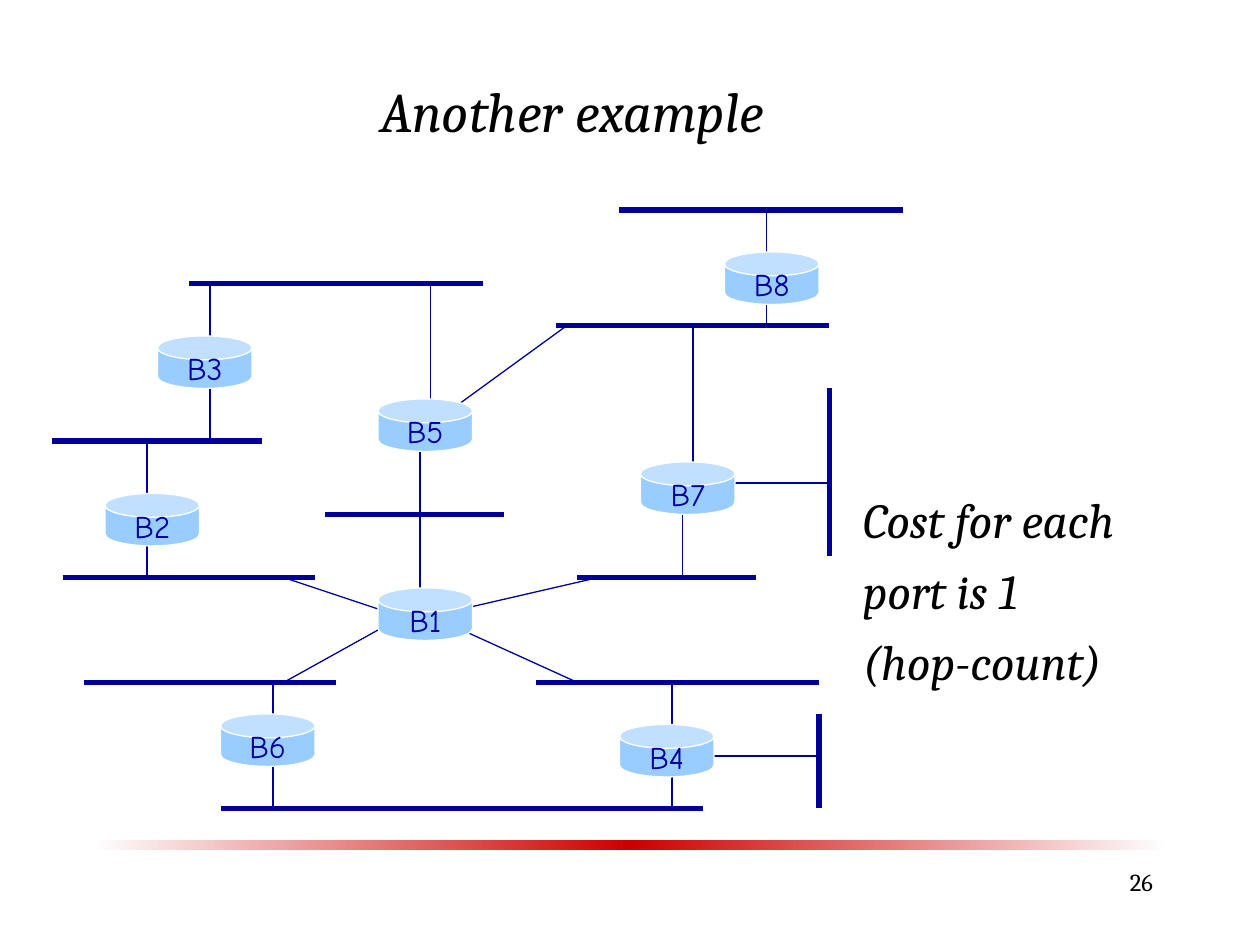
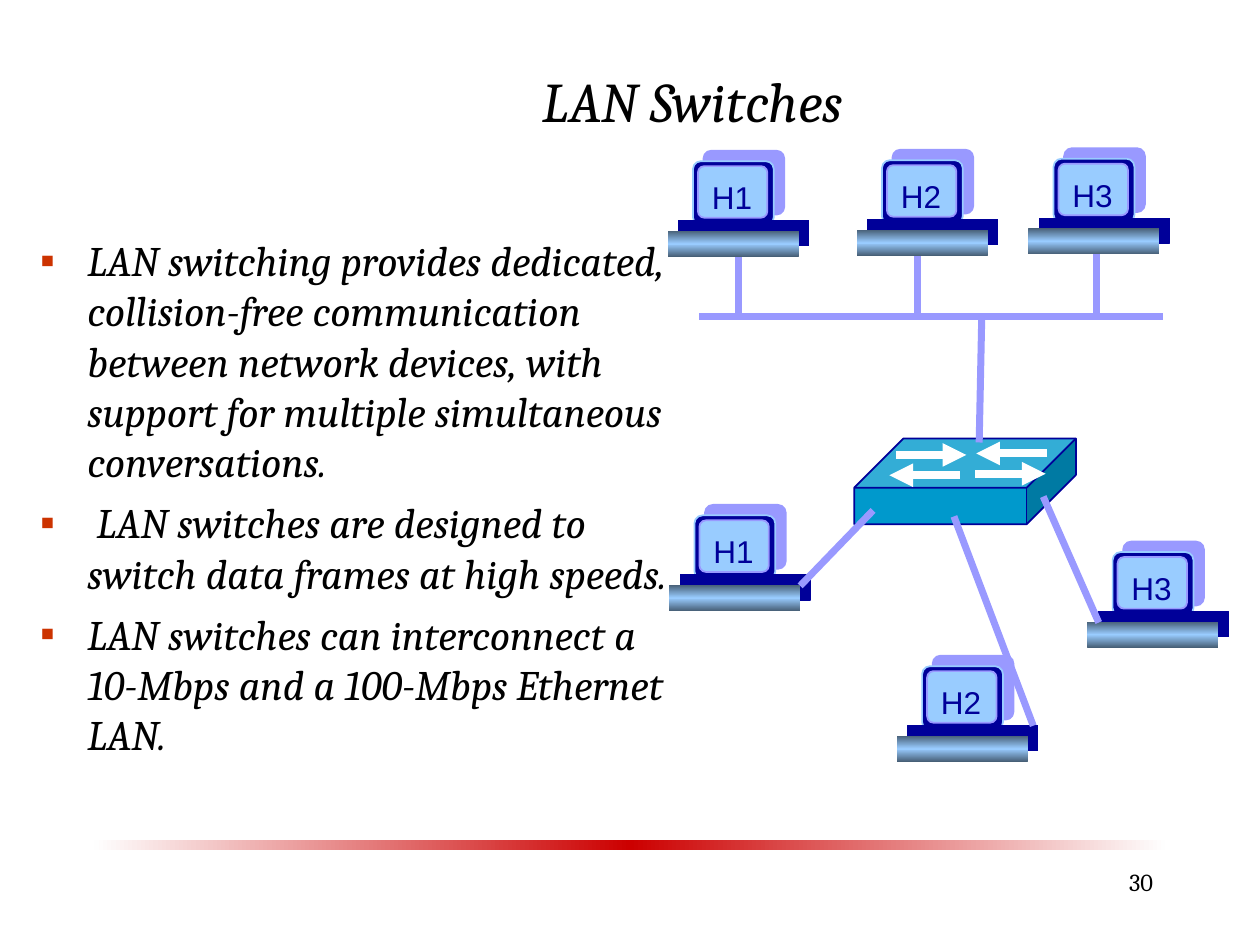
import copy

import pptx
import pptx.dml.color
import pptx.enum.shapes
import pptx.enum.text
import pptx.oxml
import pptx.oxml.ns
import pptx.util

Cm, Pt = pptx.util.Cm, pptx.util.Pt
SHAPE = pptx.enum.shapes.MSO_SHAPE
ALIGN = pptx.enum.text.PP_ALIGN
ANCHOR = pptx.enum.text.MSO_ANCHOR
qn = pptx.oxml.ns.qn

COLORS = {
    "text": "000000",
    "navy": "000099",
    "sky": "99CCFF",
    "steel": "465E75",
    "lilac": "9999FF",
    "teal": "0099CC",
    "white": "FFFFFF",
    "band": "CC0000",
    "band_edge": "FEFEFE",
    "bullet": "CC3300",
}
GRID_CM = 2.54 / 12

# Positions on the grid
SEGMENTS = [
    (18, 27, 46, 27), (53, 31, 79, 31), (79, 37, 79, 53), (51, 65, 78, 65),
    (78, 68, 78, 77), (21, 77, 67, 77), (8, 65, 32, 65), (5, 42, 25, 42),
    (6, 55, 30, 55), (31, 49, 48, 49), (55, 55, 72, 55), (59, 20, 86, 20),
]
PORT_LINKS = [
    (20, 35, 20, 42), (14, 55, 14, 50), (14, 47, 14, 42), (20, 32, 20, 27),
    (41, 38, 41, 27), (43, 39, 54, 31), (40, 43, 40, 49), (66, 31, 66, 44),
    (40, 49, 40, 56), (27, 55, 36, 58), (27, 65, 36, 60), (26, 73, 26, 77),
    (26, 68, 26, 65), (64, 69, 64, 65), (64, 74, 64, 77), (67, 72, 78, 72),
    (65, 49, 65, 55), (44, 58, 57, 55), (70, 46, 79, 46), (44, 60, 55, 65),
    (73, 20, 73, 24), (73, 29, 73, 31),
]
BRIDGES = {
    "B3": (15, 32), "B5": (36, 38), "B7": (61, 44), "B2": (10, 47),
    "B1": (36, 56), "B6": (21, 68), "B4": (59, 69), "B8": (69, 24),
}

# Positions in centimetres
BUS_LINES = [
    (14.1, 6.38, 23.44, 6.38), (14.88, 5.16, 14.88, 6.32),
    (18.49, 5.16, 18.49, 6.35), (22.1, 5.13, 22.1, 6.32),
]
HOSTS = [
    ("H1", 13.46, 3.25), ("H2", 17.27, 3.23), ("H3", 20.73, 3.2),
    ("H1", 13.49, 10.39), ("H2", 18.08, 13.43), ("H3", 21.92, 11.13),
]
SWITCH_LINKS = [
    (19.23, 10.41, 20.83, 14.63), (17.6, 10.29, 16.13, 11.81),
    (19.79, 6.43, 19.74, 8.92), (21.03, 10.01, 22.15, 12.55),
]
SWITCH_ARROWS = [
    (2.13, 0.74, 0.71, 0.74), (3.89, 0.3, 2.46, 0.3),
    (0.84, 0.33, 2.26, 0.33), (2.44, 0.71, 3.86, 0.71),
]
SWITCHING_POINTS = [
    "LAN switching provides dedicated, collision-free communication between "
    "network devices, with support for multiple simultaneous conversations.",
    " LAN switches are designed to switch data frames at high speeds.",
    "LAN switches can interconnect a 10-Mbps and a 100-Mbps Ethernet LAN.",
]


def grid(*steps):
    return [Cm(step * GRID_CM) for step in steps]


def centimetres(*values):
    return [Cm(value) for value in values]


def rgb(name):
    return pptx.dml.color.RGBColor.from_string(COLORS[name])


def add_xml(parent, tag, **attributes):
    child = parent.makeelement(qn(tag), attributes)
    parent.append(child)
    return child


def write(frame, lines, size, font="Cambria", color="text", italic=False,
          align=ALIGN.LEFT, space_before=0):
    frame.text = "\n".join(lines)
    for paragraph in frame.paragraphs:
        paragraph.alignment = align
        paragraph.space_before = Pt(space_before)
        paragraph.font.name = font
        paragraph.font.size = Pt(size)
        paragraph.font.italic = italic
        paragraph.font.color.rgb = rgb(color)


def add_text(parent, box, lines, size, wrap=True, anchor=ANCHOR.TOP, **style):
    frame = parent.shapes.add_textbox(*box).text_frame
    frame.word_wrap = wrap
    frame.vertical_anchor = anchor
    write(frame, lines, size, **style)
    return frame


def add_shape(parent, kind, box, fill=None, line=None, width=1, adjustment=None):
    shape = parent.shapes.add_shape(kind, *box)
    shape.shadow.inherit = False
    if adjustment is not None:
        shape.adjustments[0] = adjustment
    if fill:
        shape.fill.solid()
        shape.fill.fore_color.rgb = rgb(fill)
    if line:
        shape.line.color.rgb = rgb(line)
        shape.line.width = Pt(width)
    else:
        shape.line.fill.background()
    return shape


def add_line(parent, ends, color, width, arrow=False):
    line = parent.shapes.add_connector(pptx.enum.shapes.MSO_CONNECTOR.STRAIGHT, *ends)
    line.line.color.rgb = rgb(color)
    line.line.width = Pt(width)
    properties = line._element.spPr
    if arrow:
        add_xml(properties.find(qn("a:ln")), "a:tailEnd", type="triangle")
    add_xml(properties, "a:effectLst")


def fill_mirrored(shape, edge, middle, angle):
    """Gradient from edge through middle and back to edge."""
    shape.fill.gradient()
    shape.fill.gradient_angle = angle
    first, second = shape.fill.gradient_stops
    first.color.rgb = rgb(edge)
    second.color.rgb = rgb(middle)
    second.position = 0.5
    stops = shape._element.spPr.find(qn("a:gradFill")).find(qn("a:gsLst"))
    last = copy.deepcopy(stops[0])
    last.set("pos", "100000")
    stops.append(last)


def cast_shadow(shape, color):
    """Hard shadow towards the upper right."""
    effects = shape._element.spPr.find(qn("a:effectLst"))
    shadow = add_xml(effects, "a:outerShdw", dist=str(Pt(8.5)), dir="18900000",
                     algn="ctr", rotWithShape="0")
    add_xml(shadow, "a:srgbClr", val=COLORS[color])


def add_bullets(frame):
    for paragraph in frame.paragraphs:
        properties = paragraph._p.get_or_add_pPr()
        properties.set("marL", str(Cm(0.95)))
        properties.set("indent", str(-Cm(0.95)))
        color = add_xml(properties, "a:buClr")
        add_xml(color, "a:srgbClr", val=COLORS["bullet"])
        add_xml(properties, "a:buFont", typeface="Arial")
        add_xml(properties, "a:buChar", char="▪")


def add_base_slide(presentation, title, title_box, number):
    slide = presentation.slides.add_slide(presentation.slide_layouts[6])
    band = add_shape(slide, SHAPE.RECTANGLE, grid(9, 80, 102, 1))
    fill_mirrored(band, "band_edge", "band", 0)
    add_text(slide, title_box, [title], 32, anchor=ANCHOR.MIDDLE, italic=True,
             align=ALIGN.CENTER)
    add_text(slide, grid(86, 82, 25, 6), [str(number)], 14, align=ALIGN.RIGHT)
    return slide


def add_bridge(slide, name, column, row):
    bridge = add_shape(slide, SHAPE.CAN, grid(column, row, 9, 5), "sky", "white",
                       0.75, 0.455)
    bridge.text_frame.word_wrap = False
    bridge.text_frame.vertical_anchor = ANCHOR.MIDDLE
    write(bridge.text_frame, [name], 18, "Comic Neue", "navy", align=ALIGN.CENTER)


def add_host(slide, name, left, top):
    host = slide.shapes.add_group_shape()

    def box(x, y, width, height):
        return centimetres(left + x, top + y, width, height)

    screen = add_shape(host, SHAPE.ROUNDED_RECTANGLE, box(0.51, 0, 1.63, 1.29),
                       "navy", "sky", adjustment=0.125)
    cast_shadow(screen, "lilac")
    add_shape(host, SHAPE.ROUNDED_RECTANGLE, box(0.61, 0.1, 1.4, 1.04),
              "sky", "lilac", adjustment=0.125)
    base = add_shape(host, SHAPE.RECTANGLE, box(0, 1.4, 2.64, 0.53))
    fill_mirrored(base, "steel", "sky", 90)
    cast_shadow(base, "navy")
    add_text(host, box(0.64, 0.22, 1.32, 1.02), [name], 18, wrap=False,
             font="Arial", color="navy")


def add_switch(slide, left, top):
    switch = slide.shapes.add_group_shape()
    add_shape(switch, SHAPE.CUBE, centimetres(left, top, 4.47, 1.73),
              "teal", "navy", adjustment=0.575)
    for x1, y1, x2, y2 in SWITCH_ARROWS:
        ends = centimetres(left + x1, top + y1, left + x2, top + y2)
        add_line(switch, ends, "white", 4.5, arrow=True)


def add_bridge_slide(presentation):
    slide = add_base_slide(presentation, "Another example", grid(27, 4, 55, 13), 26)
    for segment in SEGMENTS:
        add_line(slide, grid(*segment), "navy", 3)
    for link in PORT_LINKS:
        add_line(slide, grid(*link), "navy", 0.75)
    for name, position in BRIDGES.items():
        add_bridge(slide, name, *position)
    add_text(slide, grid(81, 46, 36, 26),
             ["Cost for each", "port is 1", "(hop-count)"], 28, italic=True,
             space_before=7)


def add_switch_slide(presentation):
    slide = add_base_slide(presentation, "LAN Switches", grid(22, 3, 88, 13), 30)
    points = add_text(slide, centimetres(0.56, 4.6, 13.13, 12.9), SWITCHING_POINTS,
                      24, italic=True, space_before=6)
    add_bullets(points)
    for line in BUS_LINES:
        add_line(slide, centimetres(*line), "lilac", 4)
    for host in HOSTS:
        add_host(slide, *host)
    add_switch(slide, 17.22, 8.84)
    for link in SWITCH_LINKS:
        add_line(slide, centimetres(*link), "lilac", 4)


def main():
    presentation = pptx.Presentation()
    presentation.slide_width = Cm(25.4)
    presentation.slide_height = Cm(19.05)
    add_bridge_slide(presentation)
    add_switch_slide(presentation)
    presentation.save("out.pptx")


if __name__ == "__main__":
    main()
